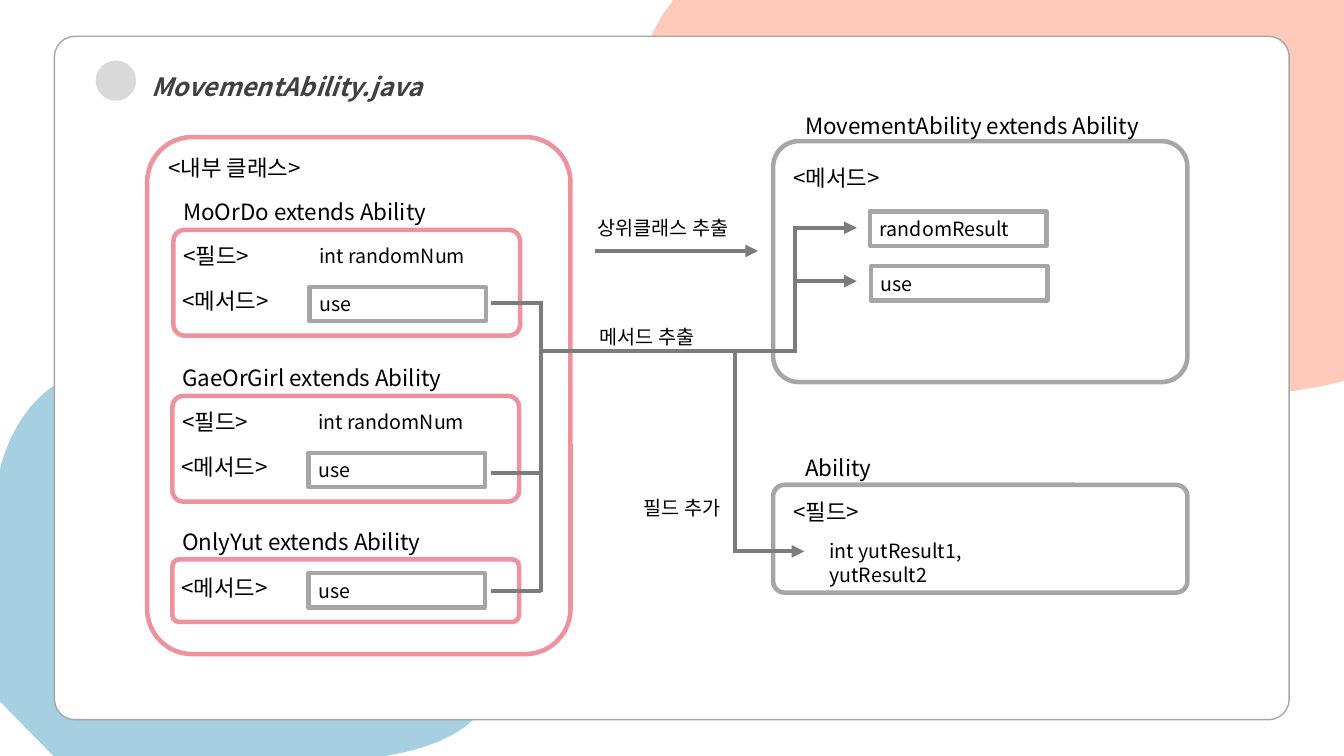
from lxml import etree
from pptx import Presentation
from pptx import util as u
from pptx.dml.color import RGBColor
from pptx.enum import shapes, text
from pptx.oxml.ns import qn

FONT = "Noto Sans CJK KR"
WHITE = RGBColor(0xFF, 0xFF, 0xFF)
BLACK = RGBColor(0, 0, 0)
DARK = RGBColor(0x40, 0x40, 0x40)
WIRE = RGBColor(0x7C, 0x7C, 0x7C)
GRAY = RGBColor(0xA6, 0xA6, 0xA6)
LIGHT = RGBColor(0xD9, 0xD9, 0xD9)
ROSE = RGBColor(0xEE, 0x92, 0x9D)
BLUE = RGBColor(0xA6, 0xCF, 0xE1)
PEACH = RGBColor(0xFF, 0xCA, 0xBA)

WIDTH, HEIGHT = u.Inches(13.333), u.Inches(7.5)
COLUMNS, ROWS = 40, 22.5
BIG, SMALL = 16, 14
ROUND = shapes.MSO_SHAPE.ROUNDED_RECTANGLE
BUS, TRUNK, RISER, DROP = 16.11, 10.44, 23.67, 21.87


def col(n):
    return round(n * WIDTH / COLUMNS)


def row(n):
    return round(n * HEIGHT / ROWS)


def cell(x, y, w, h):
    return col(x), row(y), col(w), row(h)


def curve(p0, p1, p2, p3, steps=40):
    for i in range(1, steps + 1):
        t = i / steps
        v = 1 - t
        yield tuple(v**3 * a + 3 * v * v * t * b + 3 * v * t * t * c + t**3 * d
                    for a, b, c, d in zip(p0, p1, p2, p3))


def paint(sp, fill=None, line=None, weight=3.25):
    sp.shadow.inherit = False
    if fill is None:
        sp.fill.background()
    else:
        sp.fill.solid()
        sp.fill.fore_color.rgb = fill
    if line is None:
        sp.line.fill.background()
    else:
        sp.line.color.rgb = line
        sp.line.width = u.Pt(weight)


def blob(s, points, fill):
    corners = [(col(x), row(y)) for x, y in points]
    builder = s.shapes.build_freeform(*corners[0])
    builder.add_line_segments(corners[1:], close=True)
    paint(builder.convert_to_shape(), fill)


def frame(s, area, line, fill=None, radius=0.107, weight=3.25):
    sp = s.shapes.add_shape(ROUND, *cell(*area))
    sp.adjustments[0] = radius
    paint(sp, fill, line, weight)


def write(sp, words, size, color=BLACK):
    tf = sp.text_frame
    tf.text = words
    tf.word_wrap = True
    p = tf.paragraphs[0]
    p.alignment = text.PP_ALIGN.LEFT
    r = p.runs[0]
    r.font.name = FONT
    r.font.size = u.Pt(size)
    r.font.color.rgb = color
    ea = etree.SubElement(r.font._element, qn("a:ea"))
    ea.set("typeface", FONT)
    return p


def label(s, words, x, y, w, size=BIG):
    sp = s.shapes.add_textbox(*cell(x, y, w, size / 14.4))
    return write(sp, words, size)


def method_box(s, words, x, y):
    sp = s.shapes.add_shape(shapes.MSO_SHAPE.RECTANGLE, *cell(x, y, 5.25, 1.02))
    paint(sp, line=GRAY)
    write(sp, words, SMALL)


def wire(s, x1, y1, x2, y2, arrow=False):
    c = s.shapes.add_connector(shapes.MSO_CONNECTOR.STRAIGHT,
                               col(x1), row(y1), col(x2), row(y2))
    c.line.color.rgb = WIRE
    c.line.width = u.Pt(3)
    if arrow:
        tail = etree.SubElement(c.line._get_or_add_ln(), qn("a:tailEnd"))
        tail.set("type", "triangle")
    etree.SubElement(c._element.spPr, qn("a:effectLst"))


def background(s):
    blue_top, blue_left = (4.11, 10.83), (0, 13.95)
    blob(s, [blue_top,
             *curve(blue_top, (10.32, 11.01), (20.04, 21.09), (11.49, 22.5)),
             (1.59, 22.5), (0, 20.88), blue_left,
             *curve(blue_left, (0.63, 11.64), (2.19, 10.77), blue_top)], BLUE)
    peach_edge = (40, 11.34)
    blob(s, [(40, 0), peach_edge,
             *curve(peach_edge, (30.96, 13.71), (15.12, 6), (20.04, 0))], PEACH)
    frame(s, (1.62, 1.08, 36.75, 20.34), GRAY, WHITE, 0.03, 1)


def heading(s):
    sp = s.shapes.add_textbox(*cell(4.2, 1.53, 18.09, 1.5))
    p = write(sp, "MovementAbility.java", 18, DARK)
    p.line_spacing = 1.5
    p.runs[0].font.bold = p.runs[0].font.italic = True
    dot = s.shapes.add_shape(shapes.MSO_SHAPE.OVAL, *cell(2.85, 1.8, 1.2, 1.2))
    paint(dot, LIGHT)


def inner_class(s, name, left, top, height, field=None):
    bottom = top + height
    frame(s, (left, top, 10.32, height), ROSE)
    label(s, f"{name} extends Ability", left, top - 1.08, 8.88)
    if field:
        label(s, "<필드>", left, top + 0.23, 3.39)
        label(s, field, left + 4.05, top + 0.26, 5.76, SMALL)
    label(s, "<메서드>", left - 0.03, bottom - 1.58, 4.68)
    method_box(s, "use", left + 4.05, bottom - 1.45)


def outer_class(s, name, member, top, height, name_rise, member_drop):
    frame(s, (23.01, top, 12.33, height), GRAY)
    label(s, name, 23.67, top - name_rise, 11.97)
    label(s, member, 23.31, top + member_drop, 5.22)


def wiring(s):
    wire(s, BUS, 8.97, BUS, 17.61)
    for y in (9.03, 14.07, 17.58):
        wire(s, BUS, y, BUS - 1.5, y)
    wire(s, RISER + 0.06, TRUNK, BUS, TRUNK)
    wire(s, RISER, 6.72, RISER, TRUNK)
    for y in (6.78, 8.37):
        wire(s, RISER, y, 25.5, y, arrow=True)
    wire(s, DROP, TRUNK, DROP, 16.47)
    wire(s, DROP, 16.41, 23.94, 16.41, arrow=True)
    wire(s, 17.7, 7.47, 22.56, 7.47, arrow=True)
    for words, x, y in (("상위클래스 추출", 17.49, 6.27),
                        ("메서드 추출", 17.55, 9.51),
                        ("필드 추가", 18.87, 14.61)):
        label(s, words, x, y, 5.67, SMALL)


def main():
    prs = Presentation()
    prs.slide_width, prs.slide_height = WIDTH, HEIGHT
    s = prs.slides.add_slide(prs.slide_layouts[6])
    background(s)
    heading(s)
    frame(s, (4.38, 4.08, 12.6, 15.39), ROSE)
    label(s, "<내부 클래스>", 4.71, 4.44, 6.03)
    inner_class(s, "MoOrDo", 5.16, 6.84, 3.15, "int randomNum")
    inner_class(s, "GaeOrGirl", 5.13, 11.78, 3.15, "int randomNum")
    inner_class(s, "OnlyYut", 5.13, 16.65, 1.86)
    outer_class(s, "MovementAbility extends Ability", "<메서드>", 4.2, 7.17, 1.02, 0.54)
    method_box(s, "randomResult", 25.89, 6.3)
    method_box(s, "use", 25.92, 7.92)
    outer_class(s, "Ability", "<필드>", 14.43, 3.21, 1.05, 0.24)
    label(s, "int yutResult1, yutResult2", 24.39, 15.9, 7.41, SMALL)
    wiring(s)
    prs.save("out.pptx")


if __name__ == "__main__":
    main()
